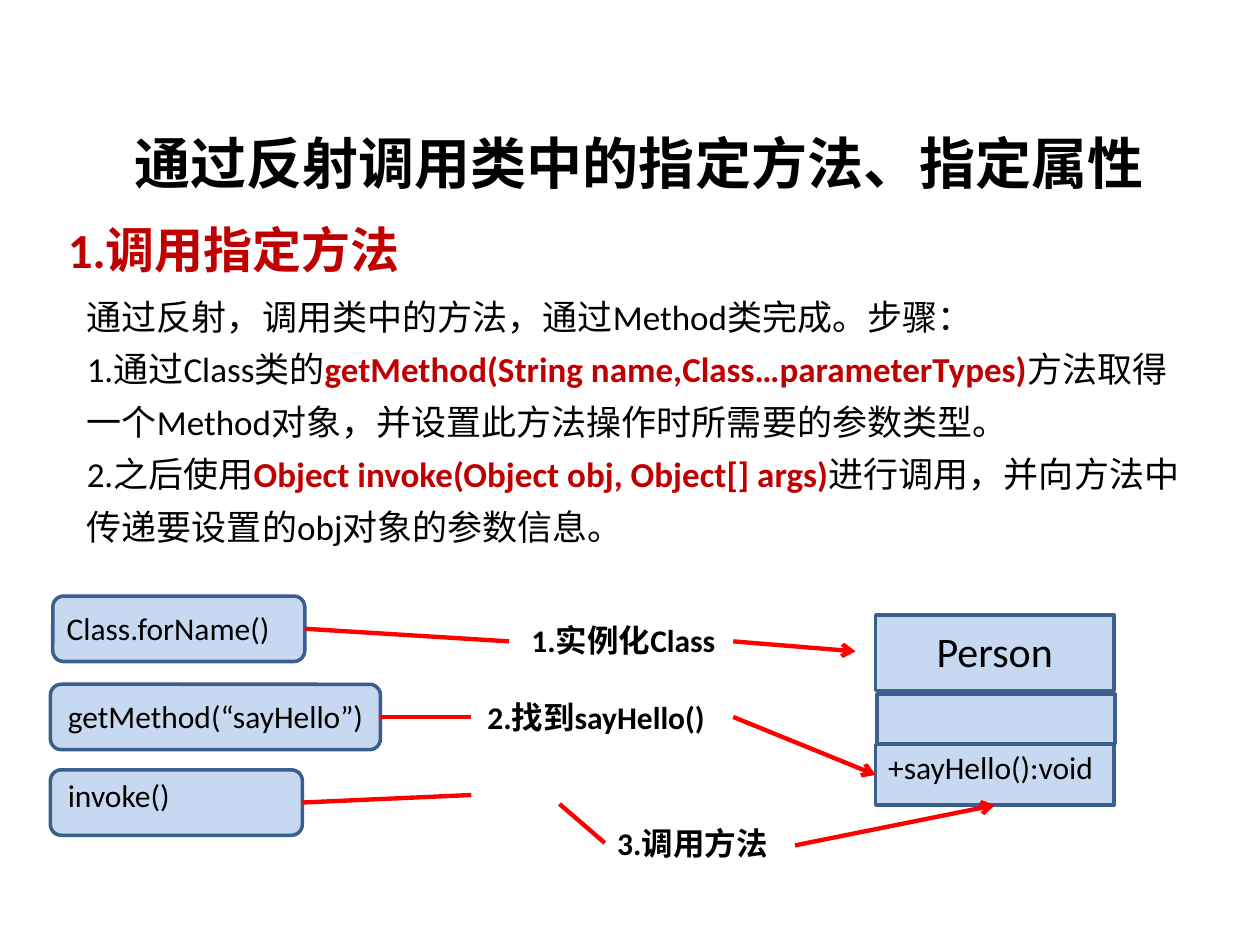
from dataclasses import dataclass

from pptx import Presentation
from pptx.dml.color import RGBColor
from pptx.enum.shapes import MSO_CONNECTOR, MSO_SHAPE
from pptx.enum.text import MSO_AUTO_SIZE, PP_ALIGN
from pptx.oxml.ns import qn
from pptx.util import Pt
from lxml import etree

STRAIGHT = MSO_CONNECTOR.STRAIGHT
ROUND, RECT = MSO_SHAPE.ROUNDED_RECTANGLE, MSO_SHAPE.RECTANGLE
GROW = MSO_AUTO_SIZE.SHAPE_TO_FIT_TEXT
CENTER = PP_ALIGN.CENTER
TOP, LEFT, BOTTOM, RIGHT = range(4)


@dataclass(frozen=True)
class Theme:
    font: str = "Calibri"
    ink: str = "000000"
    accent: str = "C00000"
    fill: str = "C6D9F1"
    edge: str = "3A5F8C"
    arrow: str = "FF0000"
    title: int = 32
    head: int = 28
    name: int = 24
    body: int = 20
    label: int = 18
    border: float = 2
    stroke: float = 2.5


def assign(target, values):
    for key, value in values.items():
        setattr(target, key, value)


class Sketch:
    """Draw styled elements on the current slide, with lengths in points."""

    def __init__(self, slide, theme):
        self.slide, self.theme = slide, theme

    def text(self, box, paras, size, color=None, bold=False, **format):
        shape = self.slide.shapes.add_textbox(*map(Pt, box))
        frame = shape.text_frame
        assign(frame, {"word_wrap": True, "auto_size": GROW})
        for index, runs in enumerate(paras):
            para = frame.add_paragraph() if index else frame.paragraphs[0]
            assign(para, format)
            for words, strong in runs:
                run = para.add_run()
                run.text = words
                assign(run.font, {"name": self.theme.font, "size": Pt(size),
                                  "bold": bold or strong})
                tone = self.theme.accent if strong else color or self.theme.ink
                run.font.color.rgb = RGBColor.from_string(tone)
        return shape

    def line(self, box, words, size, **style):
        return self.text(box, [[(words, False)]], size, **style)

    def block(self, kind, box):
        shape = self.slide.shapes.add_shape(kind, *map(Pt, box))
        shape.shadow.inherit = False
        shape.fill.solid()
        shape.fill.fore_color.rgb = RGBColor.from_string(self.theme.fill)
        shape.line.color.rgb = RGBColor.from_string(self.theme.edge)
        shape.line.width = Pt(self.theme.border)
        return shape

    def link(self, start, end, first=None, last=None, arrow=False):
        wire = self.slide.shapes.add_connector(STRAIGHT, *map(Pt, start + end))
        wire.line.color.rgb = RGBColor.from_string(self.theme.arrow)
        wire.line.width = Pt(self.theme.stroke)
        props = wire.element.spPr
        if arrow:
            etree.SubElement(props.find(qn("a:ln")), qn("a:tailEnd"), type="arrow")
        etree.SubElement(props, qn("a:effectLst"))
        if first:
            wire.begin_connect(*first)
        if last:
            wire.end_connect(*last)


def main():
    deck = Presentation()
    deck.slide_width, deck.slide_height = Pt(720), Pt(540)
    theme = Theme()
    sketch = Sketch(deck.slides.add_slide(deck.slide_layouts[6]), theme)

    sketch.line((36.7, 69.8, 657.4, 46.1), "通过反射调用类中的指定方法、指定属性",
                theme.title, bold=True, alignment=CENTER)
    sketch.line((31.7, 121.7, 537.1, 41), "1.调用指定方法",
                theme.head, color=theme.accent, bold=True)
    sketch.text((42.5, 159.1, 646.6, 158.4), [
        [("通过反射，调用类中的方法，通过Method类完成。步骤：", False)],
        [("1.通过Class类的", False),
         ("getMethod(String name,Class…parameterTypes)", True),
         ("方法取得一个Method对象，并设置此方法操作时所需要的参数类型。", False)],
        [("2.之后使用", False),
         ("Object invoke(Object obj, Object[] args)", True),
         ("进行调用，并向方法中传递要设置的obj对象的参数信息。", False)],
    ], theme.body, line_spacing=Pt(30))

    calls = []
    for left, top, width, inset, drop, words in (
            (30.2, 340.6, 144, 0.8, 3.6, "Class.forName()"),
            (28.8, 391, 188.6, 2.9, 3.6, "getMethod(“sayHello”)"),
            (28.8, 439.9, 144, 2.9, 0, "invoke()")):
        calls.append(sketch.block(ROUND, (left, top, width, 37.4)))
        sketch.line((left + inset, top + drop, width - inset, 28.8),
                    words, theme.label)

    steps = [sketch.line((left, top, width, 28.8), words, theme.label, bold=True)
             for left, top, width, words in (
                 (296.6, 351.4, 147.6, "1.实例化Class"),
                 (271.4, 395.3, 147.6, "2.找到sayHello()"),
                 (345.6, 467.3, 121, "3.调用方法"))]

    parts = [sketch.block(RECT, (left, top, 136.1, height))
             for left, top, height in ((500.4, 351.4, 43.2),
                                       (501.1, 396.7, 28.1),
                                       (500.4, 425.5, 34.6))]
    sketch.line((517.7, 354.2, 101.5, 36), "Person", theme.name, alignment=CENTER)
    sketch.line((500.4, 424.1, 147.6, 28.8), "+sayHello():void", theme.label)

    ends = ((290.9, 366.5), (269.3, 409.7), (269.3, 454.3))
    for call, end in zip(calls, ends):
        sketch.link((0, 0), end, first=(call, RIGHT))
    sketch.link((319.7, 459.4), (345.6, 481.7), last=(steps[2], LEFT))
    sketch.link((419, 366.5), (488.9, 372.2), arrow=True)
    sketch.link((419, 409.7), (500.4, 442.8), first=(steps[1], RIGHT),
                last=(parts[2], LEFT), arrow=True)
    sketch.link((454.3, 483.1), (568.5, 460.1), last=(parts[2], BOTTOM), arrow=True)

    deck.save("out.pptx")


if __name__ == "__main__":
    main()
